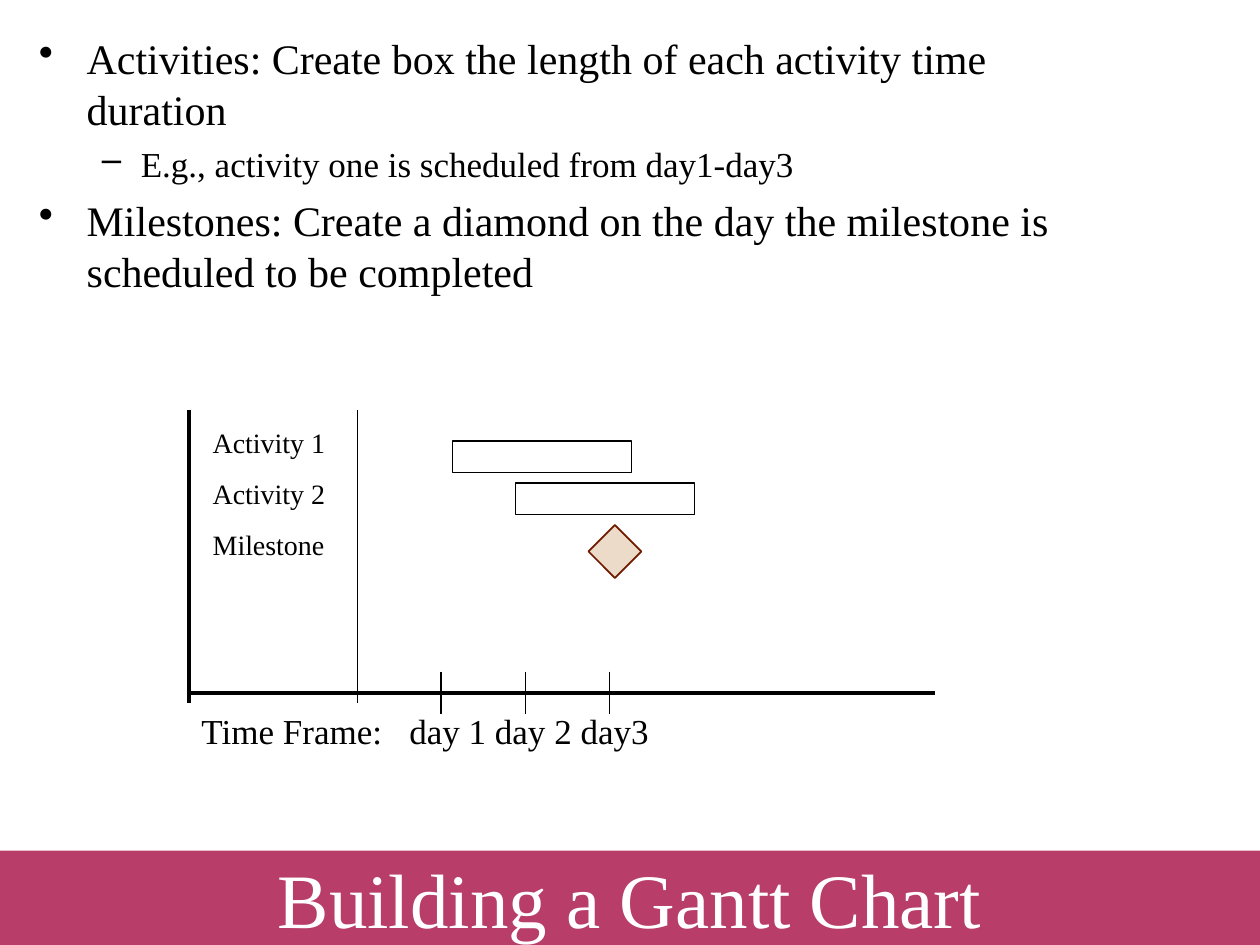
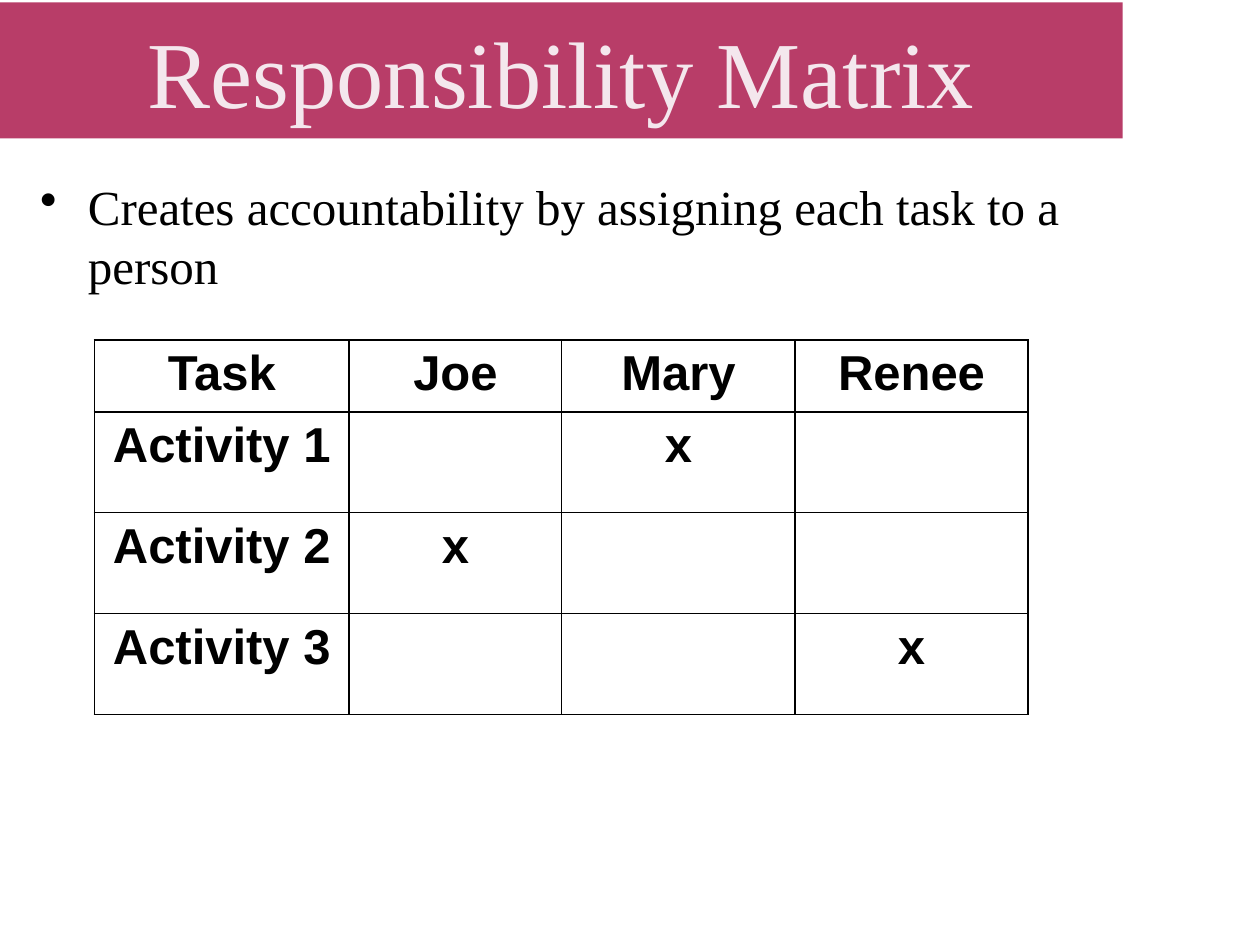
from lxml.etree import SubElement
from pptx import Presentation
from pptx.dml.color import RGBColor
from pptx.enum.shapes import MSO_CONNECTOR, MSO_SHAPE
from pptx.enum.text import MSO_ANCHOR as Anchor, MSO_AUTO_SIZE as AutoSize, PP_ALIGN as Align
from pptx.oxml.ns import qn
from pptx.util import Inches, Pt

WIDTH, HEIGHT = 10, 7.5
COLORS = {"band": "B83D68", "white": "FFFFFF", "pale": "F4E7ED", "ink": "000000",
          "diamond": "EDDBC9", "diamond_edge": "701B00"}
SERIF, SANS = "Times New Roman", "Arial"

BANDS = {
    "gantt": dict(text="Building a Gantt Chart", at=(0, 0.9, 1, 0.1), size=44, color="white"),
    "matrix": dict(text="Responsibility Matrix", at=(0, 0.0025, 0.891, 0.144), size=54, color="pale"),
}
GANTT_POINTS = [
    (0, 24, "Activities: Create box the length of each activity time duration"),
    (1, 20, "E.g., activity one is scheduled from day1-day3"),
    (0, 24, "Milestones: Create a diamond on the day the milestone is scheduled to be completed"),
]
MATRIX_POINTS = [(0, 28, "Creates accountability by assigning each task to a person")]
BULLETS = [("•", 0.38, 0.38), ("–", 0.81, 0.31)]

TASK_LABELS = ["Activity 1", "Activity 2", "Milestone"]
TIME_LABEL = "Time Frame:\tday 1 day 2 day3"
TIME_TAB = 1.65
AXIS_X, AXIS_Y, AXIS_TOP, AXIS_RIGHT, AXIS_FOOT = 1.5, 5.5, 3.25, 7.42, 5.58
LABEL_EDGE, FIRST_DAY, DAY_STEP, DAYS, TICK = 2.84, 3.5, 0.67, 3, 0.17
FIRST_ROW, ROW_STEP = 3.5, 1 / 3
BAR_SIZE, DIAMOND_SIZE = (1.42, 0.25), (0.42, 0.42)
MARKS = [(MSO_SHAPE.RECTANGLE, 0.09, BAR_SIZE, None, "ink", 0.75),
         (MSO_SHAPE.RECTANGLE, 0.59, BAR_SIZE, None, "ink", 0.75),
         (MSO_SHAPE.DIAMOND, 1.17, DIAMOND_SIZE, "diamond", "diamond_edge", 1)]

MATRIX = [
    ["Task", "Joe", "Mary", "Renee"],
    ["Activity 1", "", "x", ""],
    ["Activity 2", "x", "", ""],
    ["Activity 3", "", "", "x"],
]
MATRIX_AT = (0.75, 2.7)
COLUMN_WIDTHS = [2.02, 1.69, 1.85, 1.85]
ROW_HEIGHTS = [0.57, 0.8, 0.8, 0.8]
INNER_LINE, OUTER_LINE = 0.75, 1.08


def rgb(name):
    return RGBColor.from_string(COLORS[name])


def set_font(para, size, color="ink", name=SERIF, bold=False):
    for key, value in dict(size=Pt(size), name=name, bold=bold).items():
        setattr(para.font, key, value)
    para.font.color.rgb = rgb(color)


def set_frame(frame, anchor=Anchor.TOP):
    values = dict(word_wrap=True, auto_size=AutoSize.NONE, vertical_anchor=anchor,
                  margin_left=Inches(0.1), margin_right=Inches(0.1),
                  margin_top=Inches(0.05), margin_bottom=Inches(0.05))
    for key, value in values.items():
        setattr(frame, key, value)


def add_bullet(para, level):
    mark, margin, hanging = BULLETS[level]
    props = para._p.get_or_add_pPr()
    props.set("marL", str(Inches(margin)))
    props.set("indent", str(-Inches(hanging)))
    SubElement(props, qn("a:buChar"), char=mark)
    para.level = level


def add_tab(para, position):
    tabs = SubElement(para._p.get_or_add_pPr(), qn("a:tabLst"))
    SubElement(tabs, qn("a:tab"), pos=str(Inches(position)), algn="l")


def add_text(page, at, lines, gap=0, bulleted=False, tab=None):
    frame = page.shapes.add_textbox(*map(Inches, at)).text_frame
    set_frame(frame)
    for index, (level, size, text) in enumerate(lines):
        para = frame.paragraphs[0] if index == 0 else frame.add_paragraph()
        para.text = text
        if bulleted:
            add_bullet(para, level)
        if tab:
            add_tab(para, tab)
        if index:
            para.space_before = Pt(gap or size / 4)
        set_font(para, size)


def add_page(deck, band):
    page = deck.slides.add_slide(deck.slide_layouts[5])
    title = page.shapes.title
    sides = zip(("left", "top", "width", "height"), band["at"], (WIDTH, HEIGHT) * 2)
    for side, share, full in sides:
        setattr(title, side, Inches(share * full))
    title.fill.solid()
    title.fill.fore_color.rgb = rgb("band")
    set_frame(title.text_frame, Anchor.MIDDLE)
    para = title.text_frame.paragraphs[0]
    para.text = band["text"]
    para.alignment = Align.CENTER
    set_font(para, band["size"], band["color"])
    return page


def add_line(page, start, end, width):
    line = page.shapes.add_connector(MSO_CONNECTOR.STRAIGHT, *map(Inches, start + end))
    line.line.color.rgb = rgb("ink")
    line.line.width = Pt(width)
    SubElement(line._element.spPr, qn("a:effectLst"))


def add_mark(page, kind, at, size, fill, edge, width):
    mark = page.shapes.add_shape(kind, *map(Inches, at + size))
    mark.shadow.inherit = False
    if fill:
        mark.fill.solid()
        mark.fill.fore_color.rgb = rgb(fill)
    else:
        mark.fill.background()
    mark.line.color.rgb = rgb(edge)
    mark.line.width = Pt(width)


def set_borders(cell, row, column):
    last_row, last_column = len(MATRIX) - 1, len(COLUMN_WIDTHS) - 1
    outer = {"L": column == 0, "R": column == last_column, "T": row == 0, "B": row == last_row}
    props = cell._tc.get_or_add_tcPr()
    for side, is_outer in outer.items():
        width = Pt(OUTER_LINE if is_outer else INNER_LINE)
        border = SubElement(props, qn(f"a:ln{side}"), w=str(width))
        SubElement(SubElement(border, qn("a:solidFill")), qn("a:srgbClr"), val=COLORS["ink"])


def add_matrix(page):
    size = (sum(COLUMN_WIDTHS), sum(ROW_HEIGHTS))
    table = page.shapes.add_table(len(MATRIX), len(COLUMN_WIDTHS),
                                  *map(Inches, MATRIX_AT + size)).table
    table.first_row = table.horz_banding = False
    for column, width in zip(table.columns, COLUMN_WIDTHS):
        column.width = Inches(width)
    for row, height in zip(table.rows, ROW_HEIGHTS):
        row.height = Inches(height)
    for row, texts in enumerate(MATRIX):
        for column, text in enumerate(texts):
            cell = table.cell(row, column)
            set_borders(cell, row, column)
            cell.fill.background()
            para = cell.text_frame.paragraphs[0]
            para.text = text
            para.alignment = Align.CENTER
            set_font(para, 28, name=SANS, bold=True)


def add_gantt(page):
    add_line(page, (AXIS_X, AXIS_TOP), (AXIS_X, AXIS_FOOT), 2.25)
    add_line(page, (AXIS_X, AXIS_Y), (AXIS_RIGHT, AXIS_Y), 2.25)
    add_line(page, (LABEL_EDGE, AXIS_TOP), (LABEL_EDGE, AXIS_FOOT), 0.75)
    for day in range(DAYS):
        x = FIRST_DAY + day * DAY_STEP
        add_line(page, (x, AXIS_Y - TICK), (x, AXIS_Y + TICK), 0.75)
    add_text(page, (1.59, 3.33, 1.33, 1.18), [(0, 16, text) for text in TASK_LABELS], gap=10)
    add_text(page, (AXIS_X, AXIS_FOOT, 6.08, 0.44), [(0, 20, TIME_LABEL)], tab=TIME_TAB)
    for row, (kind, offset, size, fill, edge, width) in enumerate(MARKS):
        at = (FIRST_DAY + offset, FIRST_ROW + row * ROW_STEP)
        add_mark(page, kind, at, size, fill, edge, width)


def main():
    deck = Presentation()
    deck.slide_width, deck.slide_height = Inches(WIDTH), Inches(HEIGHT)

    page = add_page(deck, BANDS["gantt"])
    add_text(page, (0.21, 0.21, 8.5, 2.84), GANTT_POINTS, bulleted=True)
    add_gantt(page)

    page = add_page(deck, BANDS["matrix"])
    add_text(page, (0.22, 1.35, 8.7, 0.75), MATRIX_POINTS, bulleted=True)
    add_matrix(page)

    deck.save("out.pptx")


if __name__ == "__main__":
    main()
